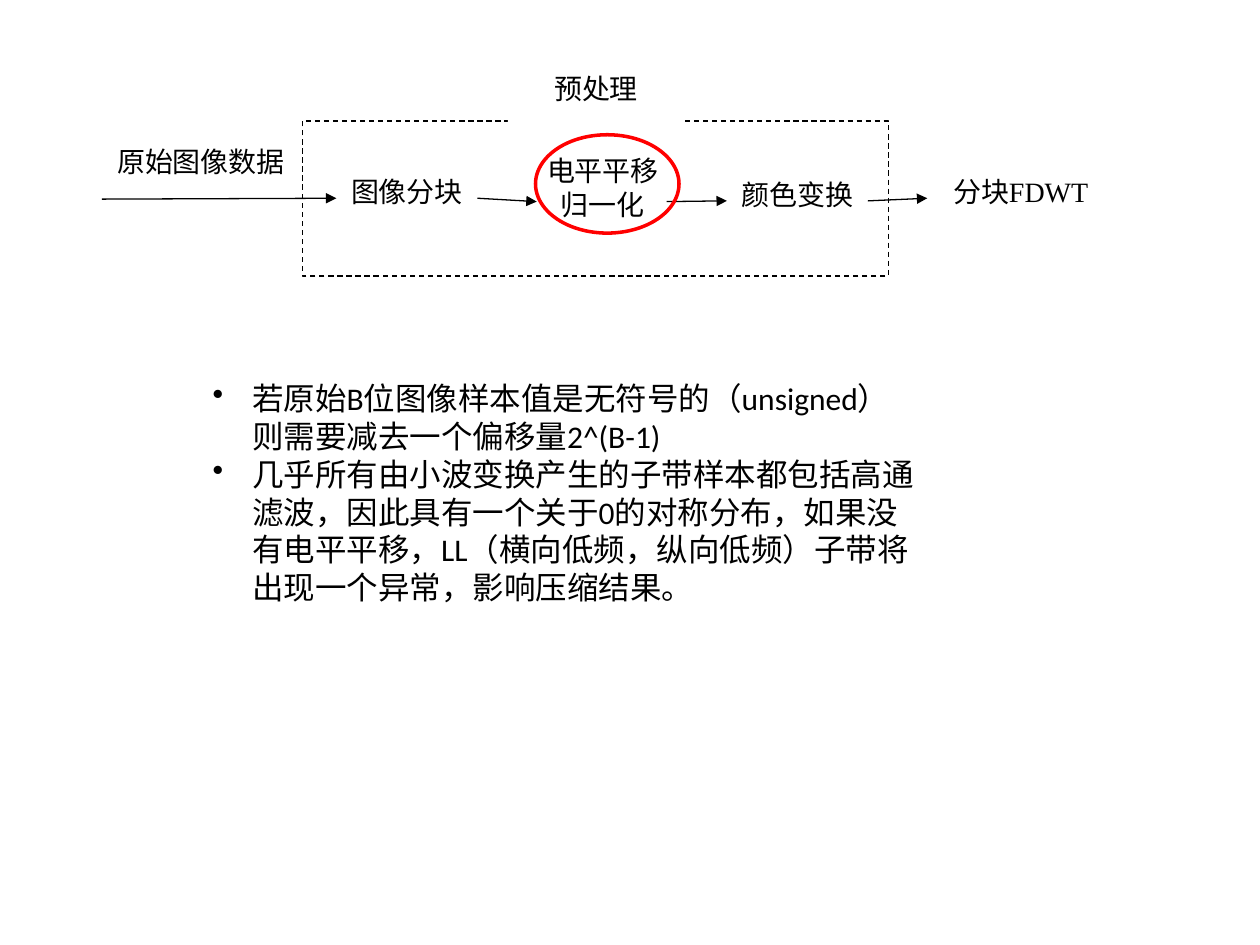
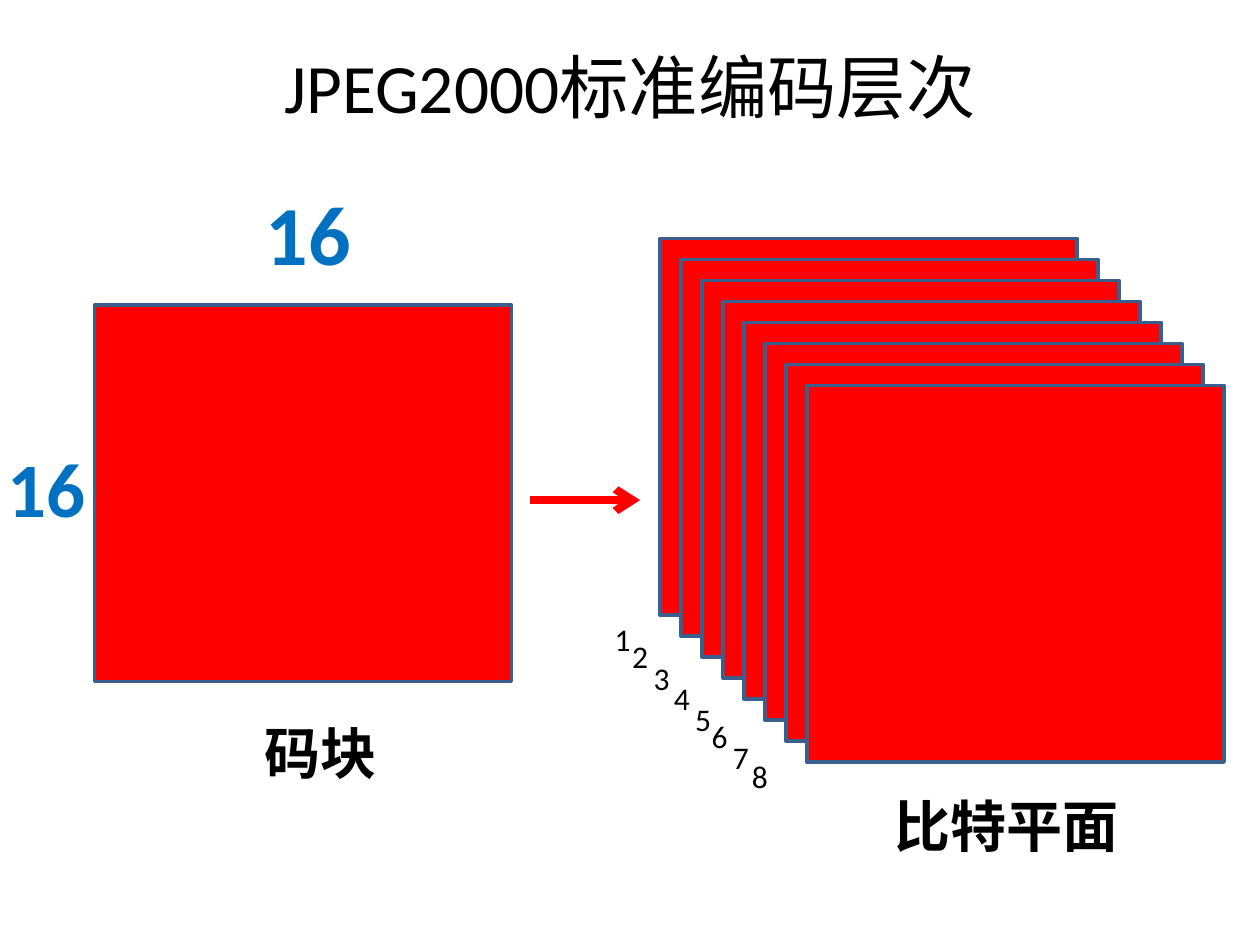
from dataclasses import dataclass
from typing import Any

from pptx import Presentation
from pptx.dml.color import RGBColor
from pptx.enum.dml import MSO_LINE
from pptx.enum.shapes import MSO_CONNECTOR, MSO_SHAPE
from pptx.enum.text import MSO_ANCHOR, MSO_AUTO_SIZE, PP_ALIGN
from pptx.oxml.ns import qn
from pptx.oxml.xmlchemy import OxmlElement
from pptx.util import Pt

RECT, OVAL = MSO_SHAPE.RECTANGLE, MSO_SHAPE.OVAL
LINE, DASH = MSO_CONNECTOR.STRAIGHT, MSO_LINE.DASH
LEFT, MID = PP_ALIGN.LEFT, PP_ALIGN.CENTER
TOP, MIDDLE = MSO_ANCHOR.TOP, MSO_ANCHOR.MIDDLE
GROW, FIXED = MSO_AUTO_SIZE.SHAPE_TO_FIT_TEXT, MSO_AUTO_SIZE.NONE

BLACK = RGBColor(0x00, 0x00, 0x00)
WHITE = RGBColor(0xFF, 0xFF, 0xFF)
RED = RGBColor(0xFF, 0x00, 0x00)
BLUE = RGBColor(0x00, 0x70, 0xC0)
EDGE = RGBColor(0x3A, 0x5F, 0x8C)

SANS, SERIF = "Calibri", "Times New Roman"
BLOCK_W, BLOCK_H = 238.3, 215.3
STEP = 12
INDENT = 22.5


@dataclass(frozen=True)
class Box:
    x: float
    y: float
    w: float
    h: float


@dataclass(frozen=True)
class Font:
    size: float
    name: str = SANS
    color: RGBColor = BLACK
    bold: bool = False


@dataclass(frozen=True)
class Label:
    box: Box
    lines: tuple[str, ...]


@dataclass(frozen=True)
class Note:
    box: Box
    text: str
    font: Font


@dataclass(frozen=True)
class Arrow:
    x: float
    y: float
    to_x: float
    to_y: float
    start: str = ""
    end: str = ""


LABELS = {
    "tile": Label(Box(192.2, 100, 80.6, 26.6), ("图像分块",)),
    "shift": Label(Box(306.7, 87.8, 75.6, 47.5), ("电平平移", "归一化")),
    "color": Label(Box(415.4, 101.5, 80.6, 26.6), ("颜色变换",)),
    "input": Label(Box(62.6, 82.8, 104.4, 27.4), ("原始图像数据",)),
    "output": Label(Box(529.9, 100, 106.6, 26.6), ("分块FDWT",)),
    "stage": Label(Box(290.2, 41, 100.8, 29.5), ("预处理",)),
}
ARROWS = (
    Arrow(272.9, 114.5, 306.7, 115.2, start="tile"),
    Arrow(380.9, 115.2, 415.4, 115.2, end="color"),
    Arrow(495.4, 114.5, 529.9, 115.2, start="color", end="output"),
    Arrow(58.3, 113.8, 192.2, 114.5, end="tile"),
)
POINTS = (
    "若原始B位图像样本值是无符号的（unsigned）则需要减去一个偏移量2^(B-1)",
    "几乎所有由小波变换产生的子带样本都包括高通滤波，因此具有一个关于0的对称分布，"
    "如果没有电平平移，LL（横向低频，纵向低频）子带将出现一个异常，影响压缩结果。",
)
CAPTION = Font(32, bold=True)
NOTES = (
    Note(Box(144, 406.8, 90.7, 46), "码块", CAPTION),
    Note(Box(504, 448.6, 164.2, 46), "比特平面", CAPTION),
    Note(Box(144.7, 100, 67.7, 65.5), "16", Font(48, color=BLUE, bold=True)),
    Note(Box(-2.9, 248.4, 67.7, 60.5), "16", Font(44, color=BLUE, bold=True)),
)
DIGITS = (344.2, 354.2, 366.5, 378, 390.2, 399.6, 411.8, 422.6)


def place(box: Box) -> tuple[Pt, Pt, Pt, Pt]:
    return Pt(box.x), Pt(box.y), Pt(box.w), Pt(box.h)


def draw_shape(slide: Any, kind: Any, box: Box, fill: RGBColor | None,
               edge: RGBColor | None = None, width: float = 2) -> Any:
    shape = slide.shapes.add_shape(kind, *place(box))
    shape.shadow.inherit = False
    if fill is None:
        shape.fill.background()
    else:
        shape.fill.solid()
        shape.fill.fore_color.rgb = fill
    if edge is None:
        shape.line.fill.background()
    else:
        shape.line.color.rgb = edge
        shape.line.width = Pt(width)
    return shape


def add_bullet(para: Any) -> None:
    props = para._p.get_or_add_pPr()
    props.set("marL", str(Pt(INDENT)))
    props.set("indent", str(-Pt(INDENT)))
    mark = OxmlElement("a:buChar")
    mark.set("char", "•")
    props.append(mark)


def write(frame: Any, lines: tuple[str, ...], font: Font, align: Any,
          bullet: bool = False) -> None:
    frame.word_wrap = True
    for i, text in enumerate(lines):
        para = frame.add_paragraph() if i else frame.paragraphs[0]
        if bullet:
            add_bullet(para)
        para.alignment = align
        run = para.add_run()
        run.text = text
        run.font.size = Pt(font.size)
        run.font.name = font.name
        run.font.bold = font.bold
        run.font.color.rgb = font.color


def draw_text(slide: Any, box: Box, lines: tuple[str, ...], font: Font,
              align: Any = LEFT, anchor: Any = TOP, fit: Any = GROW,
              bullet: bool = False) -> None:
    frame = slide.shapes.add_textbox(*place(box)).text_frame
    frame.auto_size = fit
    frame.vertical_anchor = anchor
    write(frame, lines, font, align, bullet)


def draw_label(slide: Any, label: Label) -> Any:
    shape = draw_shape(slide, RECT, label.box, WHITE)
    frame = shape.text_frame
    frame.margin_left = frame.margin_right = Pt(0)
    frame.margin_top = frame.margin_bottom = Pt(0)
    frame.vertical_anchor = TOP
    write(frame, label.lines, Font(16, SERIF), MID)
    return shape


def draw_arrow(slide: Any, arrow: Arrow, color: RGBColor, width: float,
               head: str) -> Any:
    link = slide.shapes.add_connector(
        LINE, Pt(arrow.x), Pt(arrow.y), Pt(arrow.to_x), Pt(arrow.to_y))
    link.line.color.rgb = color
    link.line.width = Pt(width)
    props = link._element.spPr
    tip = OxmlElement("a:tailEnd")
    tip.set("type", head)
    props.find(qn("a:ln")).append(tip)
    props.append(OxmlElement("a:effectLst"))
    return link


def build_flow(slide: Any) -> None:
    frame = draw_shape(slide, RECT, Box(172.8, 69.1, 334.8, 88.6),
                       WHITE, BLACK, 0.75)
    frame.line.dash_style = DASH
    steps = {key: draw_label(slide, label) for key, label in LABELS.items()}
    for arrow in ARROWS:
        link = draw_arrow(slide, arrow, BLACK, 0.75, "triangle")
        if arrow.start:
            link.begin_connect(steps[arrow.start], 3)
        if arrow.end:
            link.end_connect(steps[arrow.end], 1)
    draw_shape(slide, OVAL, Box(306, 77, 82, 56.2), None, RED)
    draw_text(slide, Box(114.5, 213.1, 414.7, 138.2), POINTS, Font(18),
              bullet=True)


def build_planes(slide: Any) -> None:
    draw_text(slide, Box(36, 21.6, 648, 55.4), ("JPEG2000标准编码层次",),
              Font(39.6), MID, MIDDLE, FIXED)
    draw_shape(slide, RECT, Box(54, 174.2, BLOCK_W, BLOCK_H), RED, EDGE)
    draw_arrow(slide, Arrow(303.1, 285.8, 365.8, 285.8), RED, 4.5, "arrow")
    for i in range(len(DIGITS)):
        box = Box(377.2 + i * STEP, 136.2 + i * STEP, BLOCK_W, BLOCK_H)
        draw_shape(slide, RECT, box, RED, EDGE)
    for i, x in enumerate(DIGITS, 1):
        draw_text(slide, Box(x, x + 6.5, 36, 29), (str(i),), Font(18))
    for note in NOTES:
        draw_text(slide, note.box, (note.text,), note.font)


def main() -> None:
    deck = Presentation()
    deck.slide_width, deck.slide_height = Pt(720), Pt(540)
    blank = deck.slide_layouts[6]
    for build in (build_flow, build_planes):
        build(deck.slides.add_slide(blank))
    deck.save("out.pptx")


if __name__ == "__main__":
    main()
